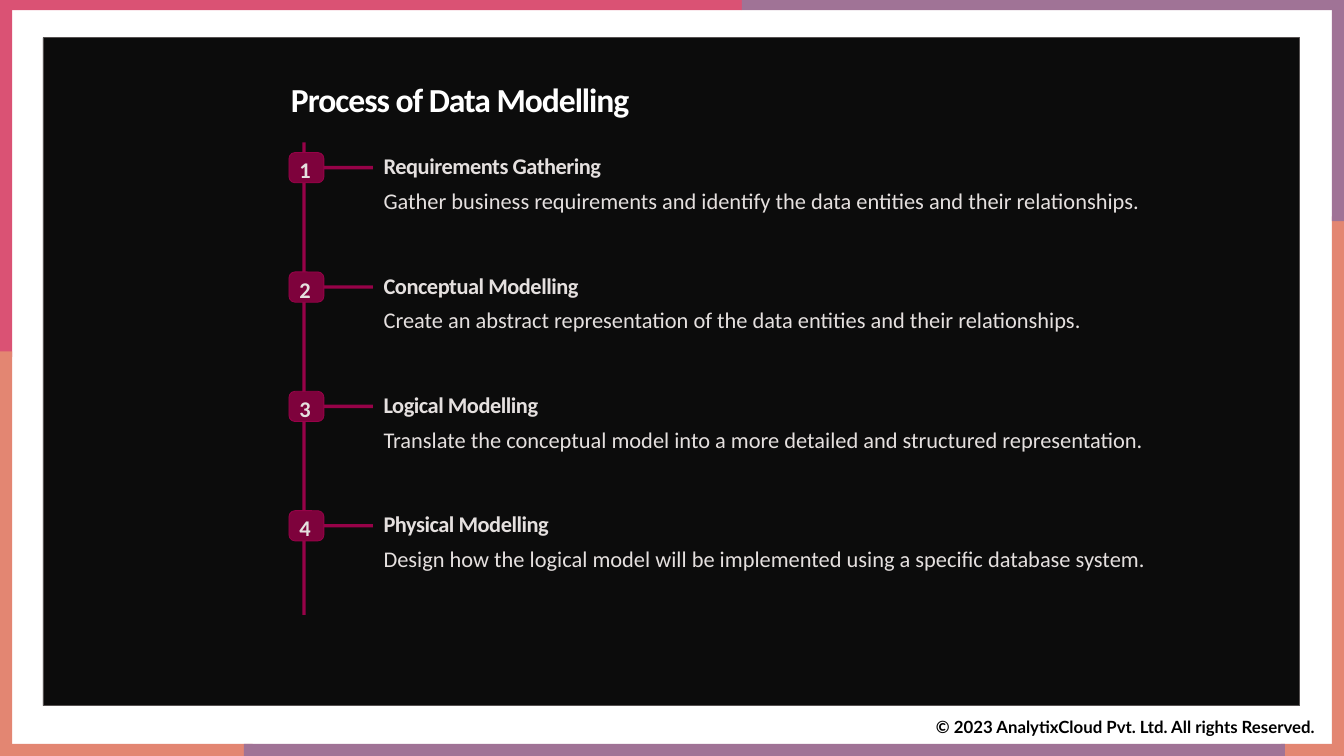
from pptx import Presentation
from pptx.dml.color import RGBColor
from pptx.enum.shapes import MSO_SHAPE
from pptx.enum.text import MSO_ANCHOR, MSO_AUTO_SIZE, PP_ALIGN
from pptx.util import Inches, Pt

PINK = RGBColor(0xDA, 0x52, 0x74)
CORAL = RGBColor(0xE3, 0x86, 0x72)
MAUVE = RGBColor(0xA0, 0x73, 0x96)
INK = RGBColor(0x0C, 0x0C, 0x0C)
GREY = RGBColor(0x56, 0x51, 0x51)
WINE = RGBColor(0x7E, 0x02, 0x3C)
ROSE = RGBColor(0x97, 0x02, 0x48)
PALE = RGBColor(0xE5, 0xE0, 0xDF)
WHITE = RGBColor(0xFF, 0xFF, 0xFF)
BLACK = RGBColor(0, 0, 0)

deck = Presentation()
deck.slide_width, deck.slide_height = Inches(20), Inches(11.25)
col, row = deck.slide_width / 100, deck.slide_height / 100
slide = deck.slides.add_slide(deck.slide_layouts[5])
shapes = slide.shapes


def block(x, y, w, h, fill, line=None, kind=MSO_SHAPE.RECTANGLE):
    shape = shapes.add_shape(kind, int(x * col), int(y * row), int(w * col), int(h * row))
    shape.shadow.inherit = False
    shape.fill.solid()
    shape.fill.fore_color.rgb = fill
    if line is None:
        shape.line.fill.background()
    else:
        shape.line.color.rgb = line
        shape.line.width = Pt(0.88)
    return shape


def write(box, text, size, color, bold=True, lead=None, track=0, font="Calibri", align=PP_ALIGN.LEFT):
    frame = box.text_frame
    frame.word_wrap = True
    frame.auto_size = MSO_AUTO_SIZE.NONE
    frame.vertical_anchor = MSO_ANCHOR.TOP
    para = frame.paragraphs[0]
    para.alignment = align
    if lead:
        para.line_spacing = Pt(lead)
    run = para.add_run()
    run.text = text
    run.font.name, run.font.size, run.font.bold = font, Pt(size), bold
    run.font.color.rgb = color
    if track:
        run.font._element.set("spc", str(track))


bands = [
    (99.1, 28.62, 0.9, 71.38, CORAL),
    (0.9, 0, 54.3, 1.33, PINK),
    (0, 0, 0.9, 47.2, PINK),
    (0, 46.49, 0.9, 53.51, CORAL),
    (55.2, 0, 44.8, 1.33, MAUVE),
    (99.1, 0, 0.9, 29.24, MAUVE),
    (95.3, 98.4, 3.8, 1.6, CORAL),
    (0.9, 98.4, 17.9, 1.6, CORAL),
    (18.15, 98.4, 77.45, 1.6, MAUVE),
]
for band in bands:
    block(*band)

foot = shapes.add_textbox(int(69.15 * col), int(94.4 * row), int(30 * col), int(3.56 * row))
write(foot, "© 2023 AnalytixCloud Pvt. Ltd. All rights Reserved.", 18, BLACK, font="Lato")

block(3.2, 4.98, 93.5, 88.36, INK, GREY)

title = shapes.title
shapes._spTree.append(title._element)
title.left, title.top = int(21.15 * col), int(9.87 * row)
title.width, title.height = int(32.6 * col), int(5.6 * row)
write(title, "Process of Data Modelling", 36, WHITE, lead=44.4, track=-110)

block(22.5, 18.84, 0.25, 62.49, ROSE)

steps = [
    ("Requirements Gathering",
     "Gather business requirements and identify the data entities and their relationships."),
    ("Conceptual Modelling",
     "Create an abstract representation of the data entities and their relationships."),
    ("Logical Modelling",
     "Translate the conceptual model into a more detailed and structured representation."),
    ("Physical Modelling",
     "Design how the logical model will be implemented using a specific database system."),
]
for i, (name, note) in enumerate(steps):
    top = 20.18 + 15.79 * i
    block(23.7, top + 1.78, 4.05, 0.44, ROSE)
    badge = block(21.5, top, 2.6, 4, WINE, ROSE, MSO_SHAPE.ROUNDED_RECTANGLE)
    badge.adjustments[0] = 0.2
    frame = badge.text_frame
    frame.margin_left = frame.margin_bottom = 0
    frame.margin_right, frame.margin_top = Inches(0.04), Inches(0.06)
    write(badge, str(i + 1), 24, PALE, lead=26.6, align=PP_ALIGN.CENTER)
    head = shapes.add_textbox(int(28.05 * col), int((top + 0.36) * row), int(20 * col), int(2.76 * row))
    write(head, name, 24, PALE, lead=22.2, track=-50)
    body = shapes.add_textbox(int(28.05 * col), int((top + 4.89) * row), int(62 * col), int(2.84 * row))
    write(body, note, 24, PALE, bold=False, lead=22.7)

deck.save("out.pptx")
